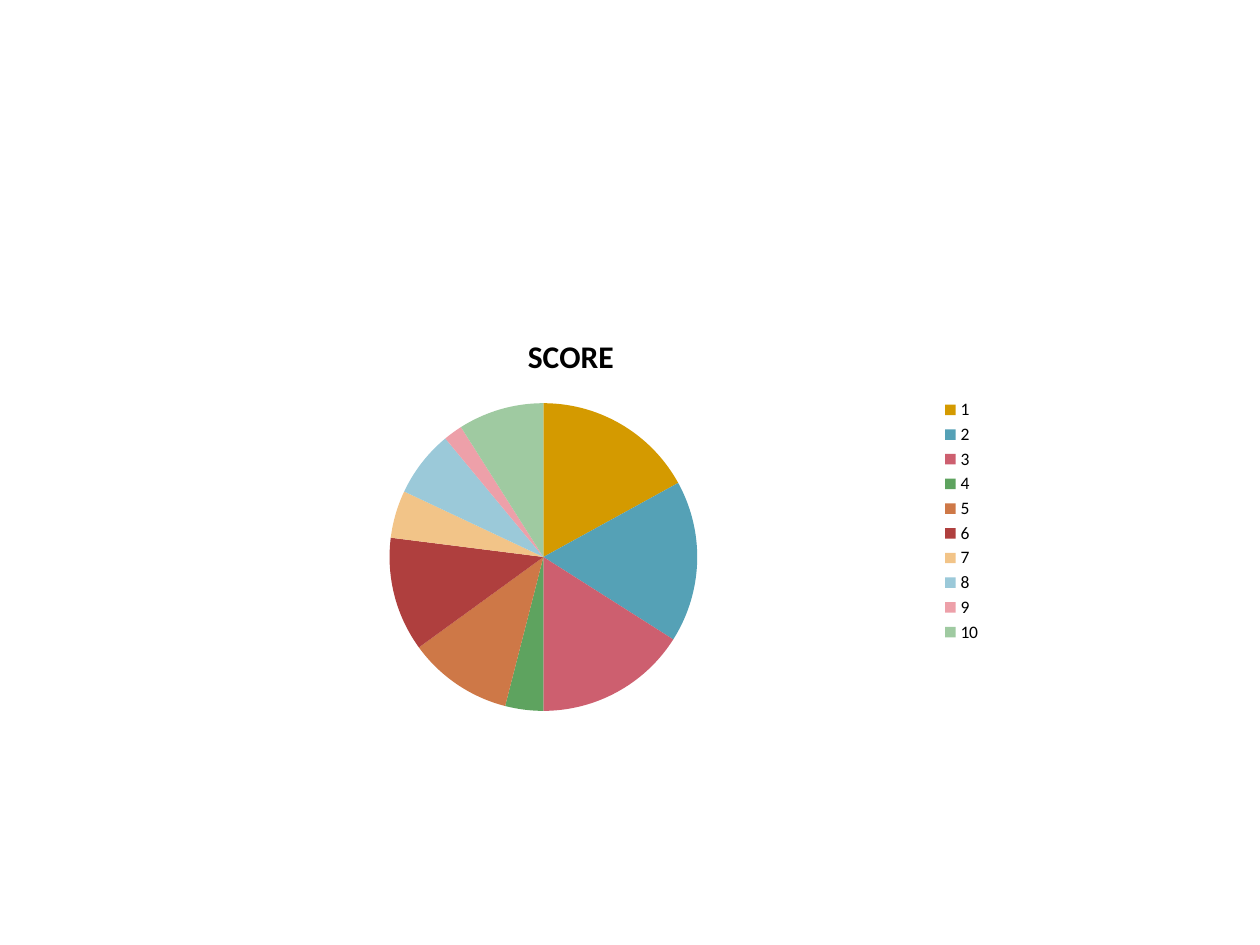
from pptx import Presentation
from pptx import util as u
from pptx.chart.data import CategoryChartData
from pptx.dml.color import RGBColor
from pptx.enum import chart as ch

COLORS = {
    "text": "000000",
    "1": "D49A00", "2": "55A1B6", "3": "CD5F6F", "4": "5EA35F", "5": "CE7847",
    "6": "AF3F3E", "7": "F2C488", "8": "9BC9D9", "9": "EDA0A9", "10": "9FCAA1",
}
SCORES = {"1": 17, "2": 17, "3": 16, "4": 4, "5": 11,
          "6": 12, "7": 5, "8": 7, "9": 2, "10": 9}


def set_font(font, size, bold=False):
    font.name = "Calibri"
    font.size = u.Pt(size)
    font.bold = bold
    font.color.rgb = RGBColor.from_string(COLORS["text"])


def add_score_pie(s, left, top, width, height):
    data = CategoryChartData()
    data.categories = list(SCORES)
    data.add_series("SCORE", list(SCORES.values()))
    chart = s.shapes.add_chart(ch.XL_CHART_TYPE.PIE, left, top, width, height, data).chart
    set_font(chart.font, 10)

    # Title
    chart.has_title = True
    tf = chart.chart_title.text_frame
    tf.text = "SCORE"
    set_font(tf.paragraphs[0].runs[0].font, 18, bold=True)

    # Legend
    chart.has_legend = True
    chart.legend.position = ch.XL_LEGEND_POSITION.RIGHT
    chart.legend.include_in_layout = False

    # Slices
    plot = chart.plots[0]
    plot.vary_by_categories = True
    for i, name in enumerate(SCORES):
        fill = plot.series[0].points[i].format.fill
        fill.solid()
        fill.fore_color.rgb = RGBColor.from_string(COLORS[name])


def main():
    prs = Presentation()
    prs.slide_width, prs.slide_height = u.Inches(10), u.Inches(7.5)
    s = prs.slides.add_slide(prs.slide_layouts[6])
    add_score_pie(s, u.Inches(1.17), u.Inches(2.49), u.Inches(6.72), u.Inches(3.29))
    prs.save("out.pptx")


if __name__ == "__main__":
    main()
